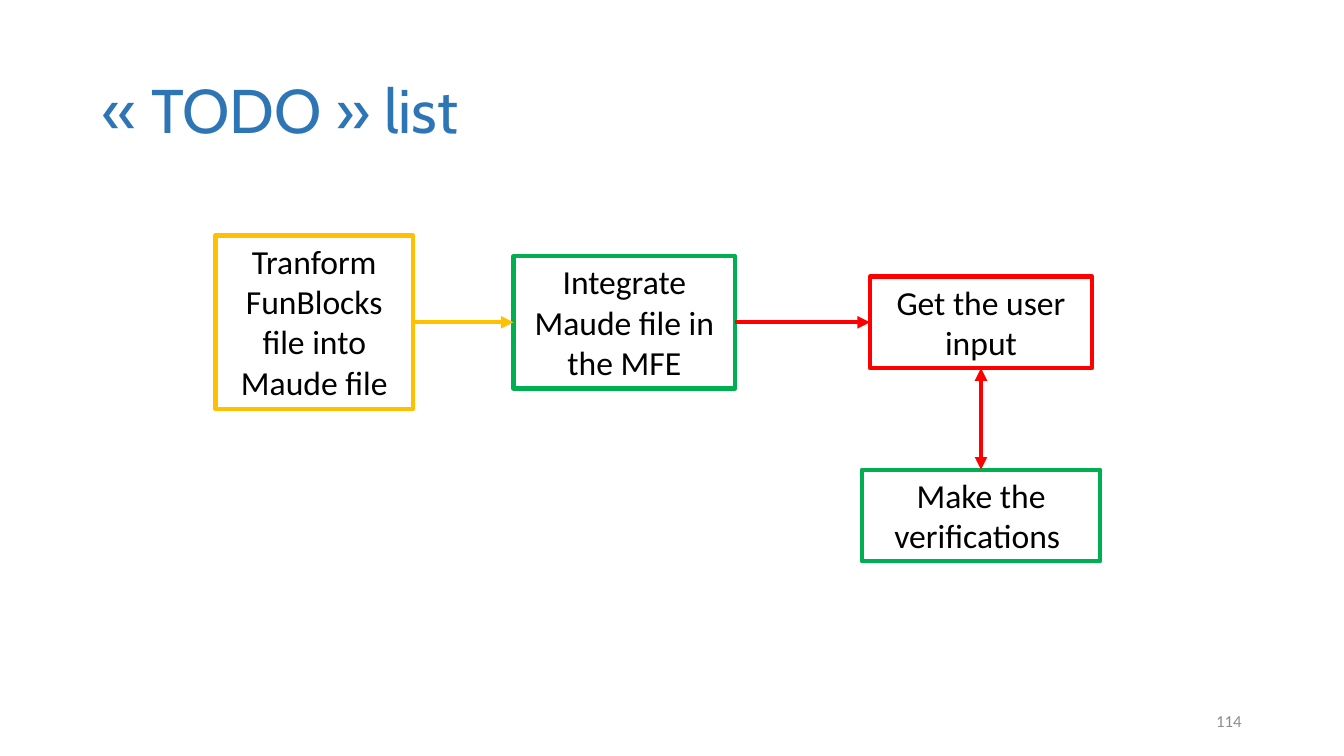
import pptx
import pptx.dml.color
import pptx.enum.shapes
import pptx.enum.text
import pptx.oxml
import pptx.oxml.ns
import pptx.util

Pt = pptx.util.Pt
ALIGN = pptx.enum.text.PP_ALIGN
ANCHOR = pptx.enum.text.MSO_ANCHOR

COLOURS = {
    "title": "2E75B6",
    "text": "000000",
    "number": "8C8C8C",
    "amber": "FFC000",
    "green": "00B050",
    "red": "FF0000",
}
LINE_WIDTH = 3
TOP, LEFT, BOTTOM, RIGHT = range(4)  # connection sites of a rectangle

# name: (text, colour, centre x, centre y, width, height) within the diagram
STEPS = {
    "transform": ("Tranform FunBlocks file into Maude file", "amber", 70.5, 62, 141, 124),
    "integrate": ("Integrate Maude file in the MFE", "green", 292, 62, 158.5, 94.5),
    "input": ("Get the user input", "red", 546.75, 62, 158.5, 65.5),
    "verify": ("Make the verifications ", "green", 546.75, 200, 170.5, 65.5),
}
# start, site, end, site, colour, two-headed
ARROWS = [
    ("transform", RIGHT, "integrate", LEFT, "amber", False),
    ("integrate", RIGHT, "input", LEFT, "red", False),
    ("input", BOTTOM, "verify", TOP, "red", True),
]


def colour(name):
    return pptx.dml.color.RGBColor.from_string(COLOURS[name])


def set_text(shape, text, size, font_name, colour_name, alignment, anchor):
    text_frame = shape.text_frame
    text_frame.text = text
    text_frame.word_wrap = True
    text_frame.vertical_anchor = anchor
    paragraph = text_frame.paragraphs[0]
    paragraph.alignment = alignment
    font = paragraph.runs[0].font
    font.size = Pt(size)
    font.name = font_name
    font.color.rgb = colour(colour_name)


def set_line(shape, colour_name):
    shape.line.color.rgb = colour(colour_name)
    shape.line.width = Pt(LINE_WIDTH)


def add_title(slide, left, top, width, height):
    title = slide.shapes.title
    title.left, title.top = Pt(left), Pt(top)
    title.width, title.height = Pt(width), Pt(height)
    set_text(title, "« TODO » list", 44, "Cabin", "title", ALIGN.LEFT, ANCHOR.MIDDLE)
    title.text_frame.paragraphs[0].line_spacing = 0.9


def add_step(slide, text, colour_name, left, top, width, height):
    step = slide.shapes.add_shape(
        pptx.enum.shapes.MSO_SHAPE.RECTANGLE, Pt(left), Pt(top), Pt(width), Pt(height))
    step.shadow.inherit = False
    step.fill.background()
    set_line(step, colour_name)
    set_text(step, text, 24, "Calibri", "text", ALIGN.CENTER, ANCHOR.TOP)
    step.text_frame.auto_size = pptx.enum.text.MSO_AUTO_SIZE.SHAPE_TO_FIT_TEXT
    return step


def add_arrow(slide, start, start_site, end, end_site, colour_name, two_headed):
    arrow = slide.shapes.add_connector(
        pptx.enum.shapes.MSO_CONNECTOR.STRAIGHT, 0, 0, 0, 0)
    arrow.begin_connect(start, start_site)
    arrow.end_connect(end, end_site)
    set_line(arrow, colour_name)
    # Arrowheads and an empty effect list
    line = arrow.line._get_or_add_ln()
    for tag in ["a:headEnd", "a:tailEnd"] if two_headed else ["a:tailEnd"]:
        head = pptx.oxml.parse_xml(f'<{tag} {pptx.oxml.ns.nsdecls("a")} type="triangle"/>')
        line.append(head)
    effects = pptx.oxml.parse_xml(f'<a:effectLst {pptx.oxml.ns.nsdecls("a")}/>')
    arrow._element.spPr.append(effects)


def add_diagram(slide, left, top):
    steps = {}
    for name, (text, colour_name, x, y, width, height) in STEPS.items():
        steps[name] = add_step(slide, text, colour_name, left + x - width / 2,
                               top + y - height / 2, width, height)
    for start, start_site, end, end_site, colour_name, two_headed in ARROWS:
        add_arrow(slide, steps[start], start_site, steps[end], end_site,
                  colour_name, two_headed)


def add_slide_number(slide, left, top, width, height):
    number = slide.shapes.add_textbox(Pt(left), Pt(top), Pt(width), Pt(height))
    set_text(number, "114", 12, "Calibri", "number", ALIGN.RIGHT, ANCHOR.MIDDLE)


def main():
    presentation = pptx.Presentation()
    presentation.slide_width = Pt(960)
    presentation.slide_height = Pt(540)
    slide = presentation.slides.add_slide(presentation.slide_layouts[5])
    add_title(slide, 66, 28.75, 828, 104.5)
    add_diagram(slide, 154, 168.25)
    add_slide_number(slide, 678, 500.5, 216, 28.75)
    presentation.save("out.pptx")


if __name__ == "__main__":
    main()
